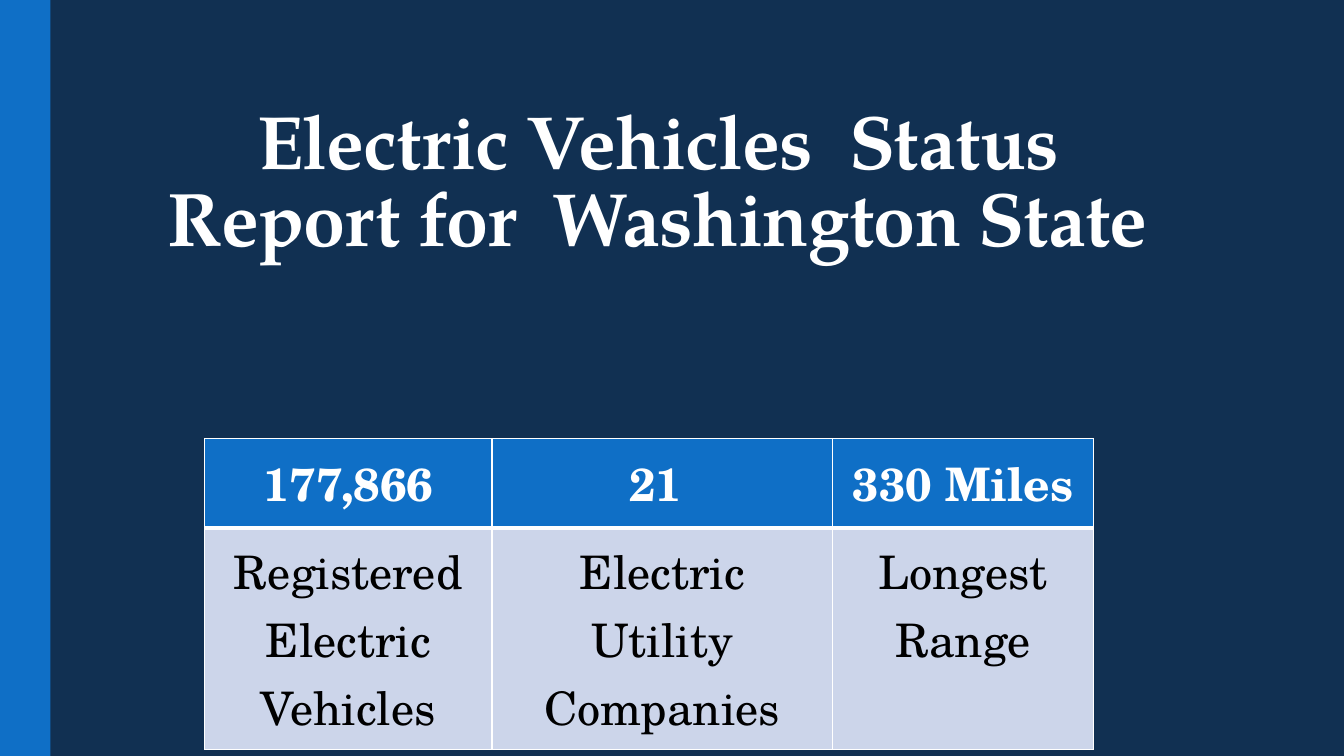
from lxml import etree
from pptx import Presentation
from pptx.dml.color import RGBColor
from pptx.enum.shapes import MSO_SHAPE
from pptx.enum.text import MSO_ANCHOR, PP_ALIGN
from pptx.oxml.ns import qn
from pptx.util import Cm, Pt

COLORS = {
    "navy": "113052",
    "blue": "0F6FC6",
    "pale": "CCD5EA",
    "white": "FFFFFF",
    "black": "000000",
}
TITLE_FONT = "TeX Gyre Pagella"
FIGURE_FONT = "TeX Gyre Schola"
TITLE = "Electric Vehicles  Status Report for  Washington State"
FIGURES = [
    ("177,866", "Registered Electric Vehicles"),
    ("21 ", "Electric Utility Companies"),
    ("330 Miles", "Longest Range"),
]
FIGURE_WIDTHS = [7.24, 8.58, 6.58]
ROW_HEIGHTS = [2.26, 5.36]


def color(name):
    return RGBColor.from_string(COLORS[name])


def write_run(paragraph, text, font_name, size, ink, bold):
    paragraph.alignment = PP_ALIGN.CENTER
    run = paragraph.add_run()
    run.text = text
    run.font.name = font_name
    run.font.size = Pt(size)
    run.font.bold = bold
    run.font.color.rgb = color(ink)
    return run


def set_borders(cell, widths):
    """Draw white borders; widths maps the sides L, R, T, B to points."""
    properties = cell._tc.get_or_add_tcPr()
    for position, (side, width) in enumerate(widths.items()):
        line = etree.Element(qn(f"a:ln{side}"), w=str(Pt(width)))
        fill = etree.SubElement(line, qn("a:solidFill"))
        etree.SubElement(fill, qn("a:srgbClr"), val=COLORS["white"])
        properties.insert(position, line)


def add_side_band(slide, left, top, width, height):
    band = slide.shapes.add_shape(
        MSO_SHAPE.RECTANGLE, Cm(left), Cm(top), Cm(width), Cm(height))
    band.shadow.inherit = False
    band.fill.solid()
    band.fill.fore_color.rgb = color("blue")
    band.line.fill.background()


def add_title(slide, left, top, width, height):
    title = slide.shapes.add_textbox(Cm(left), Cm(top), Cm(width), Cm(height))
    frame = title.text_frame
    frame.word_wrap = True
    frame.vertical_anchor = MSO_ANCHOR.BOTTOM
    paragraph = frame.paragraphs[0]
    paragraph.line_spacing = 0.85
    run = write_run(paragraph, TITLE, TITLE_FONT, 54, "white", True)
    run.font._element.set("spc", "-50")


def add_figures(slide, left, top):
    table = slide.shapes.add_table(
        len(ROW_HEIGHTS), len(FIGURES), Cm(left), Cm(top),
        Cm(sum(FIGURE_WIDTHS)), Cm(sum(ROW_HEIGHTS))).table
    for row, height in zip(table.rows, ROW_HEIGHTS):
        row.height = Cm(height)
    for column, width in zip(table.columns, FIGURE_WIDTHS):
        column.width = Cm(width)

    # Figures on top, their labels below, parted by a thick line
    row_styles = [
        ("blue", "white", True, {"L": 1, "R": 1, "T": 1, "B": 3}),
        ("pale", "black", False, {"L": 1, "R": 1, "T": 3, "B": 1}),
    ]
    for column_index, texts in enumerate(FIGURES):
        for row_index, text in enumerate(texts):
            background, ink, bold, borders = row_styles[row_index]
            cell = table.cell(row_index, column_index)
            cell.margin_left = cell.margin_right = Cm(0.46)
            cell.margin_top = cell.margin_bottom = Cm(0.23)
            cell.fill.solid()
            cell.fill.fore_color.rgb = color(background)
            set_borders(cell, borders)
            write_run(cell.text_frame.paragraphs[0], text, FIGURE_FONT,
                      33, ink, bold)


def main():
    deck = Presentation()
    deck.slide_width, deck.slide_height = Cm(33.87), Cm(19.05)
    slide = deck.slides.add_slide(deck.slide_layouts[6])
    slide.background.fill.solid()
    slide.background.fill.fore_color.rgb = color("navy")

    add_side_band(slide, 0, 0, 1.27, 19.05)
    add_figures(slide, 5.16, 11.05)
    add_title(slide, 3.5, 1.25, 26.16, 5.48)
    deck.save("out.pptx")


if __name__ == "__main__":
    main()
